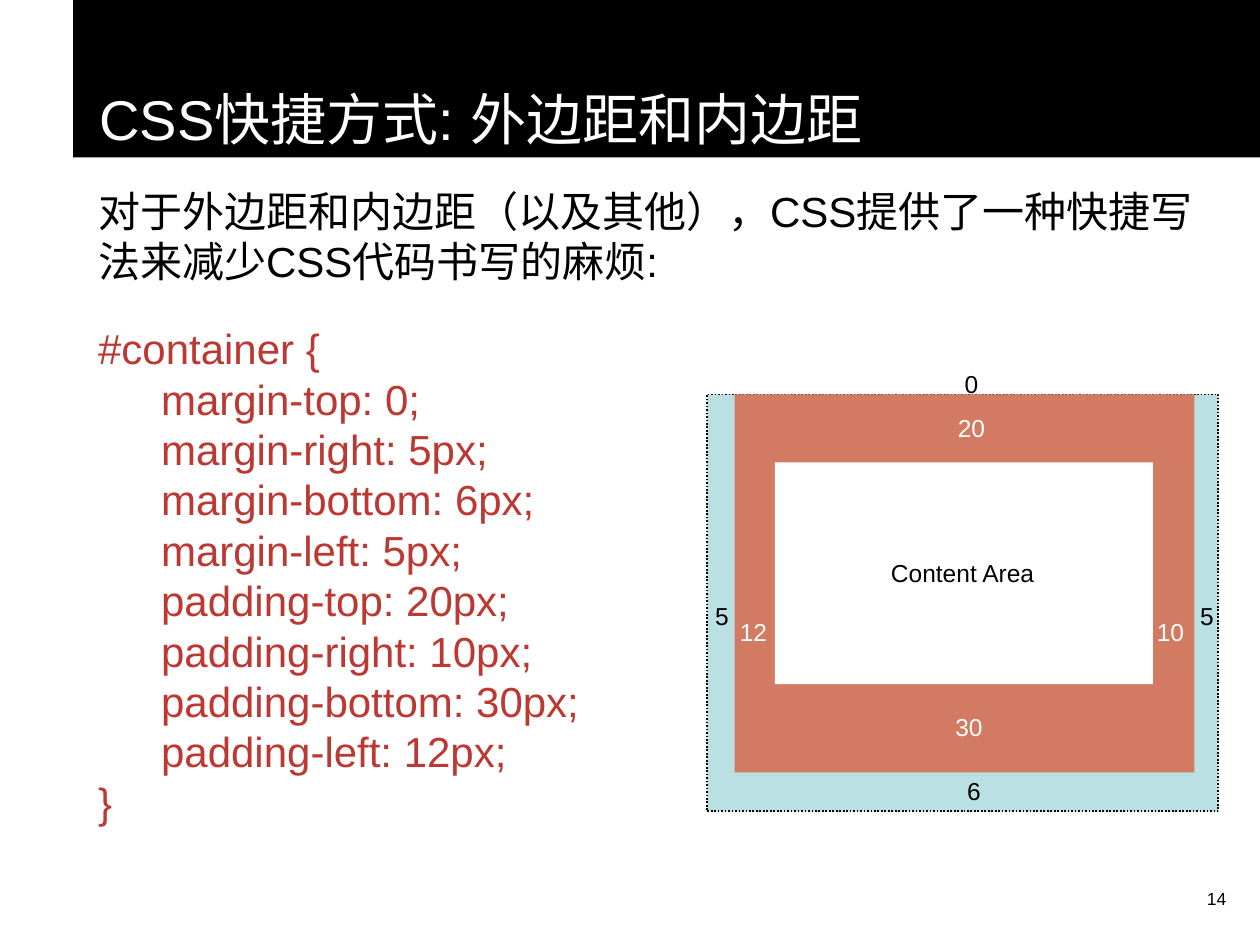
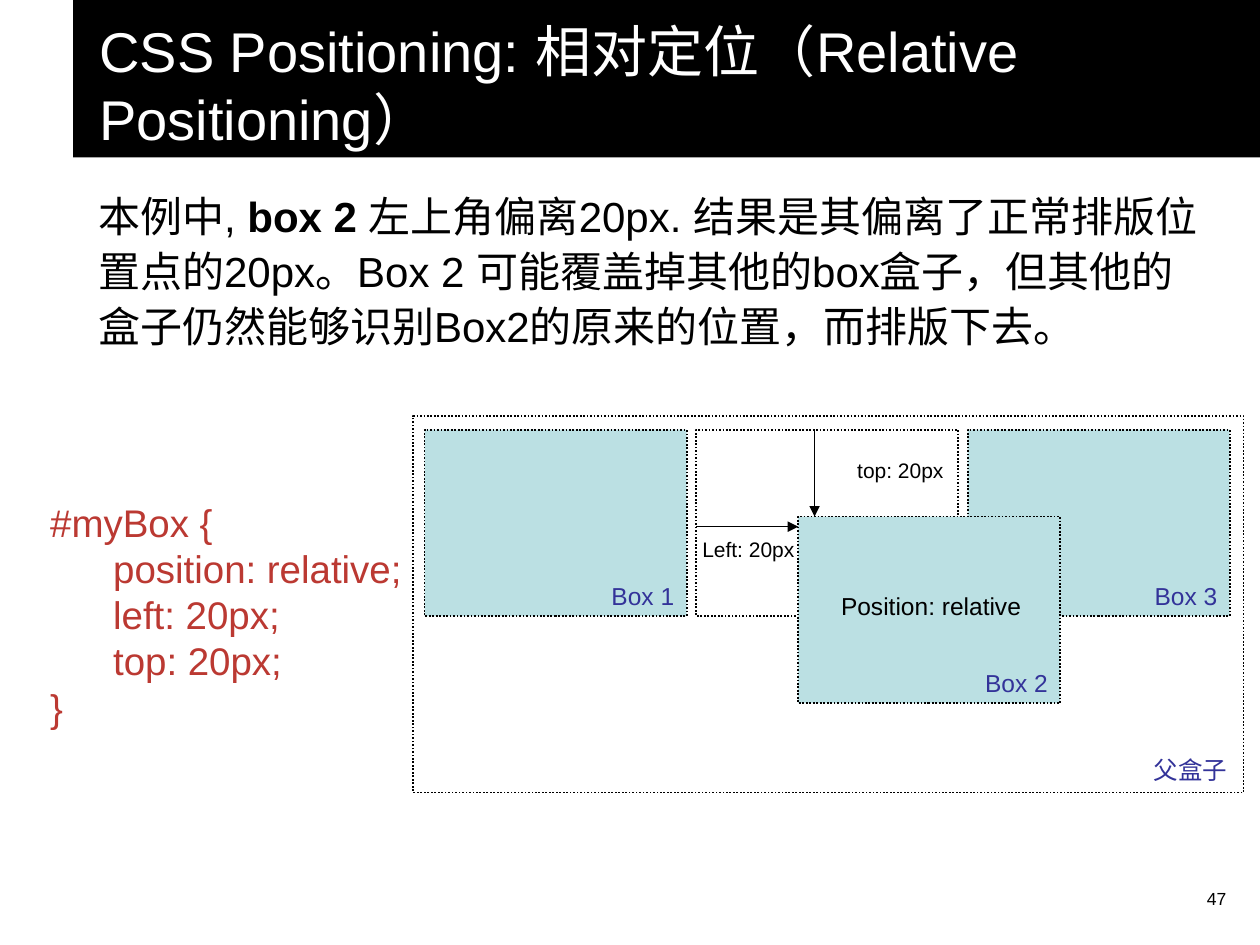
from pptx import Presentation
from pptx.dml.color import RGBColor
from pptx.enum.dml import MSO_LINE
from pptx.enum.shapes import MSO_CONNECTOR, MSO_SHAPE
from pptx.enum.text import MSO_ANCHOR, PP_ALIGN
from pptx.oxml.ns import qn
from pptx.util import Inches, Pt
from lxml.etree import SubElement

FONT = "Arial"
COLORS = {
    "black": "000000", "white": "FFFFFF", "red": "BB3932",
    "aqua": "BBE0E3", "clay": "D27B62", "navy": "333399",
}
LEFT, CENTER, RIGHT = PP_ALIGN.LEFT, PP_ALIGN.CENTER, PP_ALIGN.RIGHT
BODY = (0.58, 1.42, 9.08)  # left, top, width


def rgb(name):
    return RGBColor.from_string(COLORS[name])


def style(para, size, color, align=LEFT, indent=0, tab=None):
    para.alignment = align
    props = para._p.get_or_add_pPr()
    props.set("marL", str(Inches(indent)))
    props.set("indent", "0")
    if tab:
        tabs = SubElement(props, qn("a:tabLst"))
        SubElement(tabs, qn("a:tab"), pos=str(Inches(tab)), algn="l")
    for run in para.runs:
        run.font.name = FONT
        run.font.size = Pt(size)
        run.font.color.rgb = rgb(color)


def add_text(slide, box, text="", size=14, color="black", align=CENTER, tab=None):
    frame = slide.shapes.add_textbox(*map(Inches, box)).text_frame
    frame.word_wrap = True
    para = frame.paragraphs[0]
    para.text = text
    style(para, size, color, align, tab=tab)
    return frame


def add_rect(slide, box, fill=None, dotted=False):
    rect = slide.shapes.add_shape(MSO_SHAPE.RECTANGLE, *map(Inches, box))
    rect.shadow.inherit = False
    if fill:
        rect.fill.solid()
        rect.fill.fore_color.rgb = rgb(fill)
    else:
        rect.fill.background()
    if dotted:
        rect.line.color.rgb = rgb("black")
        rect.line.width = Pt(1)
        rect.line.dash_style = MSO_LINE.ROUND_DOT
    else:
        rect.line.fill.background()
    return rect


def add_arrow(slide, *ends):
    line = slide.shapes.add_connector(MSO_CONNECTOR.STRAIGHT, *map(Inches, ends))
    line.line.color.rgb = rgb("black")
    line.line.width = Pt(0.75)
    SubElement(line.line._get_or_add_ln(), qn("a:tailEnd"), type="triangle")
    SubElement(line._element.spPr, qn("a:effectLst"))


def inset(box, left, top, right, bottom):
    x, y, w, h = box
    return x + left, y + top, w - left - right, h - top - bottom


# Shared title band and page number
def start_slide(deck, title, number):
    slide = deck.slides.add_slide(deck.slide_layouts[6])
    add_text(slide, (7.75, 7, 2.08, 0.5), number, 10, align=RIGHT)
    frame = add_rect(slide, (0.58, 0, 9.42, 1.25), "black").text_frame
    frame.word_wrap = True
    frame.vertical_anchor = MSO_ANCHOR.BOTTOM
    frame.paragraphs[0].text = title
    style(frame.paragraphs[0], 32, "white", indent=0.11)
    return slide


# Nested margin, padding and content areas
def draw_model(slide, box):
    pad = inset(box, 0.22, 0, 0.19, 0.31)
    core = inset(pad, 0.32, 0.54, 0.33, 0.7)
    add_rect(slide, box, "aqua", dotted=True)
    add_rect(slide, pad, "clay")
    add_rect(slide, core, "white")
    x, y = box[:2]
    labels = [
        ("Content Area", 2.03, 1.42, "black"),
        ("6", 2.12, 3.15, "black"),
        ("5", 0.12, 1.76, "black"),
        ("5", 3.97, 1.76, "black"),
        ("12", 0.37, 1.89, "white"),
        ("10", 3.68, 1.89, "white"),
        ("30", 2.08, 2.64, "white"),
        ("20", 2.1, 0.27, "white"),
        ("0", 2.1, -0.08, "black"),
    ]
    for text, mid, row, color in labels:
        wide = 2.35 if text == "Content Area" else 0.94
        add_text(slide, (x + mid - wide / 2, y + row - 0.17, wide, 0.34),
                 text, color=color)


# Parent frame with three boxes, the second one shifted
def draw_shift(slide, box):
    x, y, wide, high = box
    w, h, gap = 2.08, 1.48, 0.075
    dx, dy = 0.81, 0.69
    top = y + 0.11
    one, two, three = [x + 0.09 + i * (w + gap) for i in range(3)]

    def add_name(text, left, row):
        add_text(slide, (left + 0.03, row + 1.15, 2.05, 0.34), text,
                 color="navy", align=RIGHT)

    add_rect(slide, (one, top, w, h), "aqua", dotted=True)
    add_rect(slide, (two, top, w, h), dotted=True)
    add_text(slide, (two - 0.05, top + 0.8, 1.11, 0.3), "Left: 20px", 12, align=LEFT)
    add_rect(slide, (three, top, w, h), "aqua", dotted=True)
    add_rect(slide, box, dotted=True)
    add_text(slide, (two + 1.18, top + 0.17, 1.11, 0.3), "top: 20px", 12, align=LEFT)
    add_rect(slide, (two + dx, top + dy, w, h), "aqua", dotted=True)
    add_text(slide, (two + dx + 0.03, top + dy + 0.54, 2.05, 0.34), "Position: relative")
    add_name("Box 1", one, top)
    add_name("Box 2", two + dx, top + dy)
    add_name("Box 3", three, top)
    add_text(slide, (x + wide - 2.08, y + high - 0.35, 2.05, 0.34), "父盒子",
             color="navy", align=RIGHT)

    # Offset arrows
    add_arrow(slide, two + 0.94, top, two + 0.94, top + dy)
    add_arrow(slide, two, top + 0.77, two + dx, top + 0.77)


def build_margin(deck):
    slide = start_slide(deck, "CSS快捷方式: 外边距和内边距", "14")
    frame = add_text(slide, (*BODY, 5.23))
    intro, code = frame.paragraphs[0], frame.add_paragraph()
    intro.text = ("对于外边距和内边距（以及其他），"
                  "CSS提供了一种快捷写法来减少CSS代码书写的麻烦:")
    code.text = """#container {
\tmargin-top: 0;
\tmargin-right: 5px;
\tmargin-bottom: 6px;
\tmargin-left: 5px;
\tpadding-top: 20px;
\tpadding-right: 10px;
\tpadding-bottom: 30px;
\tpadding-left: 12px;
}"""
    intro.space_after = Pt(6)
    code.space_before = Pt(15)
    style(intro, 24, "black", indent=0.1)
    style(code, 24, "red", indent=0.1, tab=1)
    draw_model(slide, (5.61, 3.13, 4.06, 3.31))


def build_shift(deck):
    slide = start_slide(deck, "CSS Positioning: 相对定位（Relative Positioning）", "47")
    para = add_text(slide, (*BODY, 1.42)).paragraphs[0]
    parts = [
        "本例中, ",
        "box 2 ",
        "左上角偏离20px. 结果是其偏离了正常排版位置点的20px。"
        "Box 2 可能覆盖掉其他的box盒子，"
        "但其他的盒子仍然能够识别Box2的原来的位置，而排版下去。",
    ]
    for part in parts:
        run = para.add_run()
        run.text = part
        run.font.bold = part == "box 2 "
    para.line_spacing = 1.1
    style(para, 24, "black", indent=0.1)
    draw_shift(slide, (3.28, 3.3, 6.59, 2.99))
    code = "#myBox {\n\tposition: relative;\n\tleft: 20px;\n\ttop: 20px;\n}"
    add_text(slide, (0.3, 3.91, 3.12, 1.94), code, 22, "red", LEFT, tab=0.42)


def main():
    deck = Presentation()
    deck.slide_width, deck.slide_height = Inches(10), Inches(7.5)
    build_margin(deck)
    build_shift(deck)
    deck.save("out.pptx")


if __name__ == "__main__":
    main()
